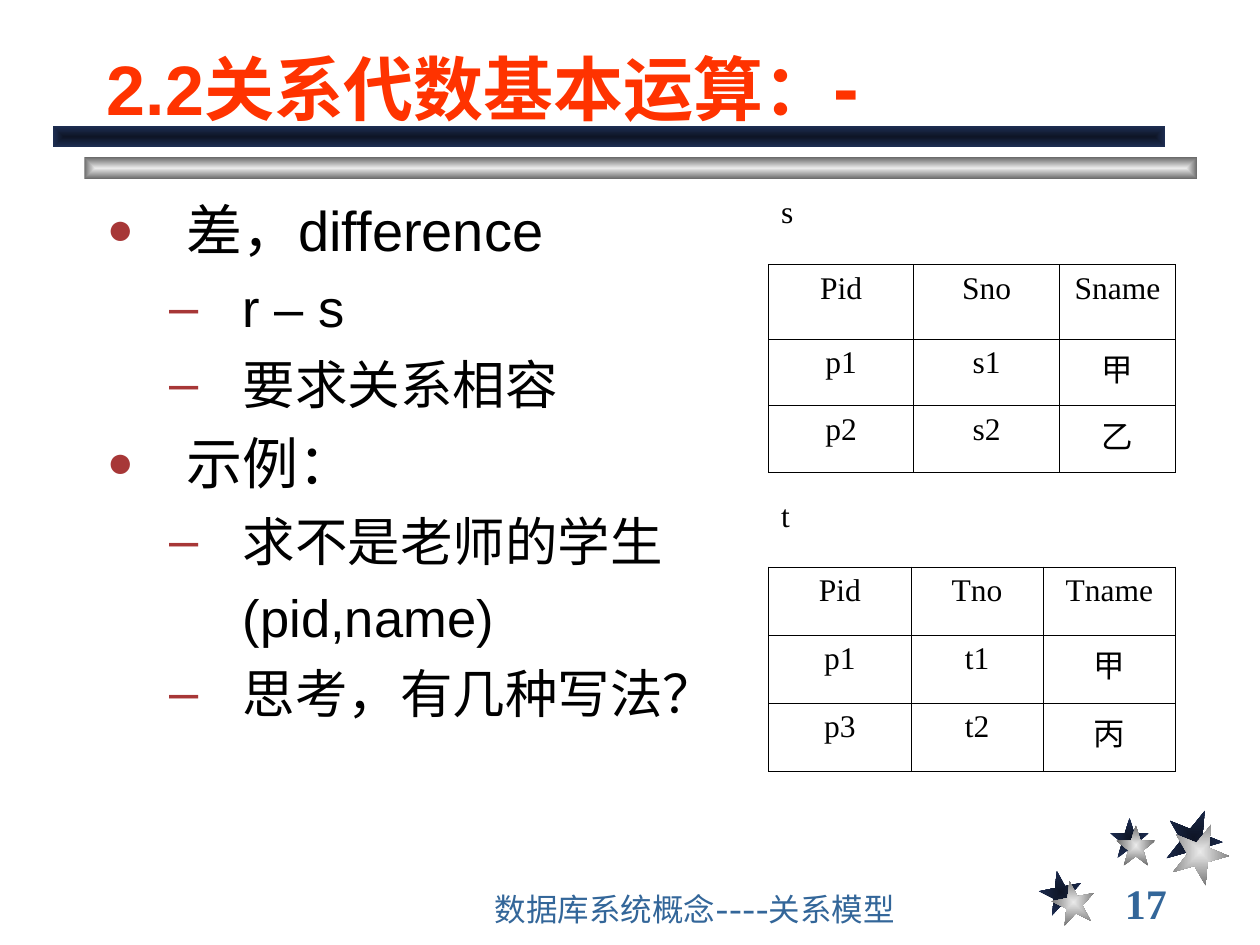
"""Build the slide on the difference operation of relational algebra."""
from dataclasses import dataclass

from lxml.etree import SubElement
from pptx import Presentation
from pptx.dml.color import RGBColor
from pptx.enum.shapes import MSO_SHAPE as Preset
from pptx.enum.text import MSO_ANCHOR as Anchor, PP_ALIGN as Align
from pptx.oxml import parse_xml
from pptx.oxml.ns import nsdecls, qn
from pptx.util import Inches, Pt

BLACK = RGBColor(0x00, 0x00, 0x00)
ORANGE = RGBColor(0xFF, 0x33, 0x00)
BLUE = RGBColor(0x33, 0x66, 0x99)
BRICK = RGBColor(0xA7, 0x37, 0x37)
NAVY = (RGBColor(0x0E, 0x15, 0x26), RGBColor(0x1E, 0x2E, 0x53))
SILVER = (RGBColor(0xEA, 0xEA, 0xEA), RGBColor(0x6C, 0x6C, 0x6C))
BORDER_WIDTH = Pt(0.45)


@dataclass(frozen=True)
class Ornament:
    preset: Preset
    left: float
    top: float
    width: float
    height: float
    colours: tuple[RGBColor, RGBColor]
    rotation: float = 0


@dataclass(frozen=True)
class Level:
    margin: float
    hanging: float
    size: float
    space_before: float
    bullet: str
    bullet_percent: int


@dataclass(frozen=True)
class Point:
    text: str
    level: int
    bulleted: bool = True


@dataclass(frozen=True)
class Relation:
    name: str
    top: float
    columns: tuple[float, ...]
    rows: tuple[float, ...]
    records: tuple[tuple[str, ...], ...]
    merges: tuple[tuple[int, int, int], ...] = ()


STAR = Preset.STAR_5_POINT
ORNAMENTS = (
    Ornament(STAR, 8.25, 6.91, 0.34, 0.34, NAVY, 349),
    Ornament(STAR, 8.81, 6.49, 0.31, 0.32, NAVY),
    Ornament(STAR, 9.25, 6.42, 0.45, 0.46, NAVY, 22),
    Ornament(STAR, 8.35, 6.99, 0.34, 0.34, SILVER, 349),
    Ornament(STAR, 8.86, 6.55, 0.31, 0.32, SILVER),
    Ornament(STAR, 9.3, 6.53, 0.45, 0.46, SILVER, 22),
    Ornament(Preset.RECTANGLE, 0.67, 1.25, 8.83, 0.17, SILVER),
    Ornament(Preset.RECTANGLE, 0.42, 1, 8.83, 0.17, NAVY),
)
LEVELS = (Level(0.63, 0.63, 32, 8, "●", 80), Level(1.08, 0.58, 30, 7.5, "–", 100))
POINTS = (
    Point("差，difference", 0),
    Point("r – s", 1),
    Point("要求关系相容", 1),
    Point("示例：", 0),
    Point("求不是老师的学生", 1),
    Point("(pid,name)", 1, bulleted=False),
    Point("思考，有几种写法？", 1),
)
RELATIONS = (
    Relation("s", 1.5, (1.15, 0.24, 0.92, 0.92), (0.6, 0.59, 0.53, 0.53),
             (("Pid", "Sno", "", "Sname"), ("p1", "s1", "", "甲"), ("p2", "s2", "", "乙")),
             ((0, 0, 1), (1, 1, 2), (2, 1, 2), (3, 1, 2))),
    Relation("t", 3.91, (1.13, 1.05, 1.05), (0.59, 0.54, 0.54, 0.54),
             (("Pid", "Tno", "Tname"), ("p1", "t1", "甲"), ("p3", "t2", "丙"))),
)


def draw_ornament(page, item: Ornament) -> None:
    shape = page.shapes.add_shape(item.preset, Inches(item.left), Inches(item.top),
                                  Inches(item.width), Inches(item.height))
    shape.rotation = item.rotation
    shape.shadow.inherit = False
    shape.line.fill.background()
    shape.fill.gradient()
    for stop, colour in zip(shape.fill.gradient_stops, item.colours):
        stop.color.rgb = colour
    linear = next(shape._element.iter(qn("a:lin")))
    linear.getparent().replace(linear, parse_xml(
        f'<a:path {nsdecls("a")} path="rect">'
        '<a:fillToRect l="50000" t="50000" r="50000" b="50000"/></a:path>'))


def style(para, size: float, family: str, colour: RGBColor, bold: bool = False) -> None:
    para.font.size = Pt(size)
    para.font.name = family
    para.font.color.rgb = colour
    para.font.bold = bold


def add_box(page, left: float, top: float, width: float, height: float, anchor: Anchor):
    box = page.shapes.add_textbox(Inches(left), Inches(top), Inches(width), Inches(height))
    box.text_frame.word_wrap = True
    box.text_frame.vertical_anchor = anchor
    return box.text_frame


def draw_title(page) -> None:
    para = add_box(page, 0.75, 0.17, 8.5, 0.92, Anchor.BOTTOM).paragraphs[0]
    style(para, 40, "Arial", ORANGE, bold=True)
    para.add_run().text = "2.2关系代数基本运算："
    span = para.add_run()
    span.text = "-"
    span.font.size = Pt(44)


def draw_points(page) -> None:
    frame = add_box(page, 0.75, 1.5, 5.04, 5.24, Anchor.TOP)
    for index, point in enumerate(POINTS):
        para = frame.add_paragraph() if index else frame.paragraphs[0]
        para.text = point.text
        para.level = point.level
        level = LEVELS[point.level]
        if index:
            para.space_before = Pt(level.space_before)
        properties = para._p.get_or_add_pPr()
        properties.set("marL", str(Inches(level.margin)))
        properties.set("indent", str(-Inches(level.hanging) if point.bulleted else 0))
        if point.bulleted:
            colour = SubElement(properties, qn("a:buClr"))
            SubElement(colour, qn("a:srgbClr"), val=str(BRICK))
            SubElement(properties, qn("a:buSzPct"), val=str(level.bullet_percent * 1000))
            SubElement(properties, qn("a:buFont"), typeface="Arial")
            SubElement(properties, qn("a:buChar"), char=level.bullet)
        else:
            SubElement(properties, qn("a:buNone"))
        style(para, level.size, "Arial", BLACK)


def set_borders(cell, visible: str) -> None:
    properties = cell._tc.get_or_add_tcPr()
    for index, side in enumerate("LRTB"):
        paint = (f'<a:solidFill><a:srgbClr val="{BLACK}"/></a:solidFill>'
                 if side in visible else "<a:noFill/>")
        properties.insert(index, parse_xml(
            f'<a:ln{side} {nsdecls("a")} w="{BORDER_WIDTH}">{paint}</a:ln{side}>'))


def draw_relation(page, relation: Relation) -> None:
    heading = (relation.name,) + ("",) * (len(relation.columns) - 1)
    contents = (heading,) + relation.records
    table = page.shapes.add_table(
        len(contents), len(heading), Inches(6.1), Inches(relation.top),
        Inches(sum(relation.columns)), Inches(sum(relation.rows))).table
    table.first_row = table.horz_banding = False
    for column, width in zip(table.columns, relation.columns):
        column.width = Inches(width)
    for row, height in zip(table.rows, relation.rows):
        row.height = Inches(height)
    for row, first, last in relation.merges:
        table.cell(row, first).merge(table.cell(row, last))
    for row, values in enumerate(contents):
        for column, value in enumerate(values):
            cell = table.cell(row, column)
            cell.fill.background()
            set_borders(cell, "LRTB" if row else "B")
            para = cell.text_frame.paragraphs[0]
            para.text = value
            para.alignment = Align.CENTER if row else Align.LEFT
            style(para, 18, "Times New Roman", BLACK)


def main() -> None:
    deck = Presentation()
    deck.slide_width, deck.slide_height = Inches(10), Inches(7.5)
    page = deck.slides.add_slide(deck.slide_layouts[6])
    for item in ORNAMENTS:
        draw_ornament(page, item)
    number = add_box(page, 8.83, 7, 1.08, 0.33, Anchor.MIDDLE).paragraphs[0]
    number.text = "17"
    style(number, 24, "Times New Roman", BLUE, bold=True)
    footer = add_box(page, 3.83, 7.08, 4.08, 0.33, Anchor.BOTTOM).paragraphs[0]
    footer.text = "数据库系统概念----关系模型"
    style(footer, 18, "Cabin", BLUE)
    draw_title(page)
    draw_points(page)
    for relation in RELATIONS:
        draw_relation(page, relation)
    deck.save("out.pptx")


if __name__ == "__main__":
    main()
